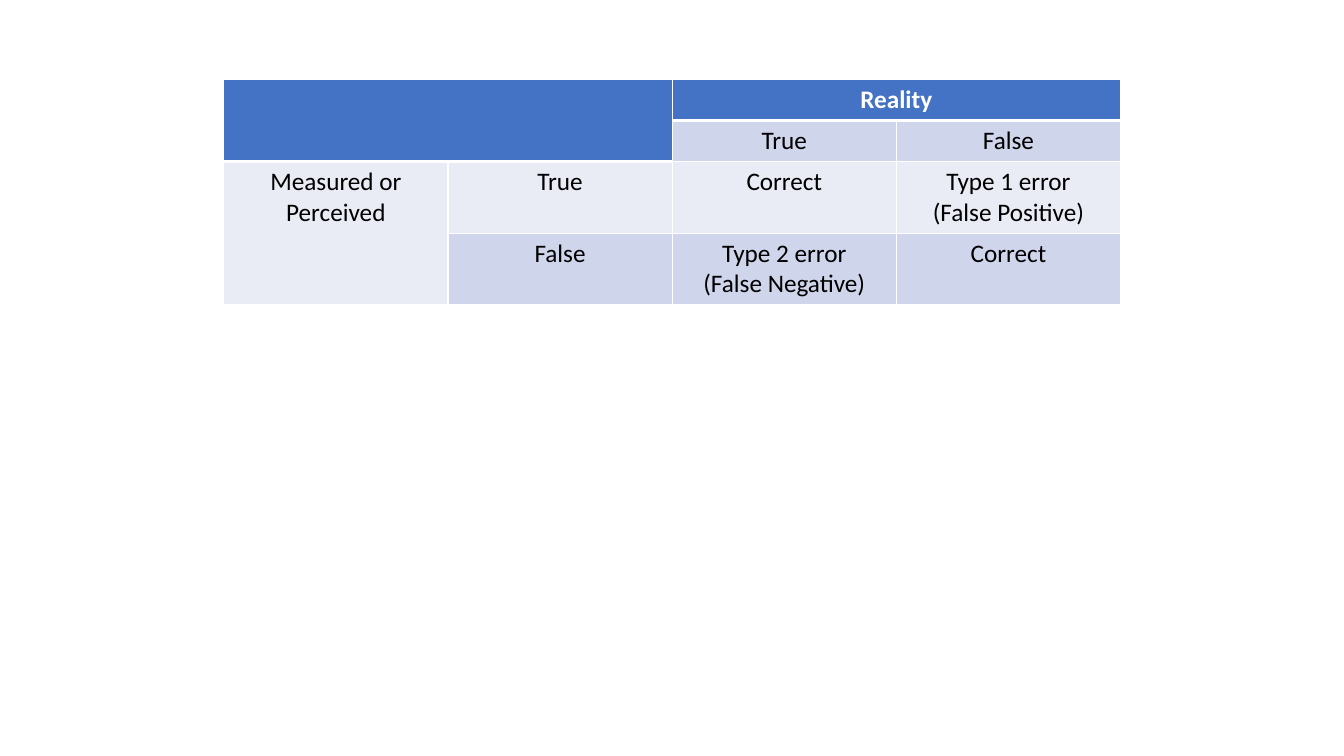
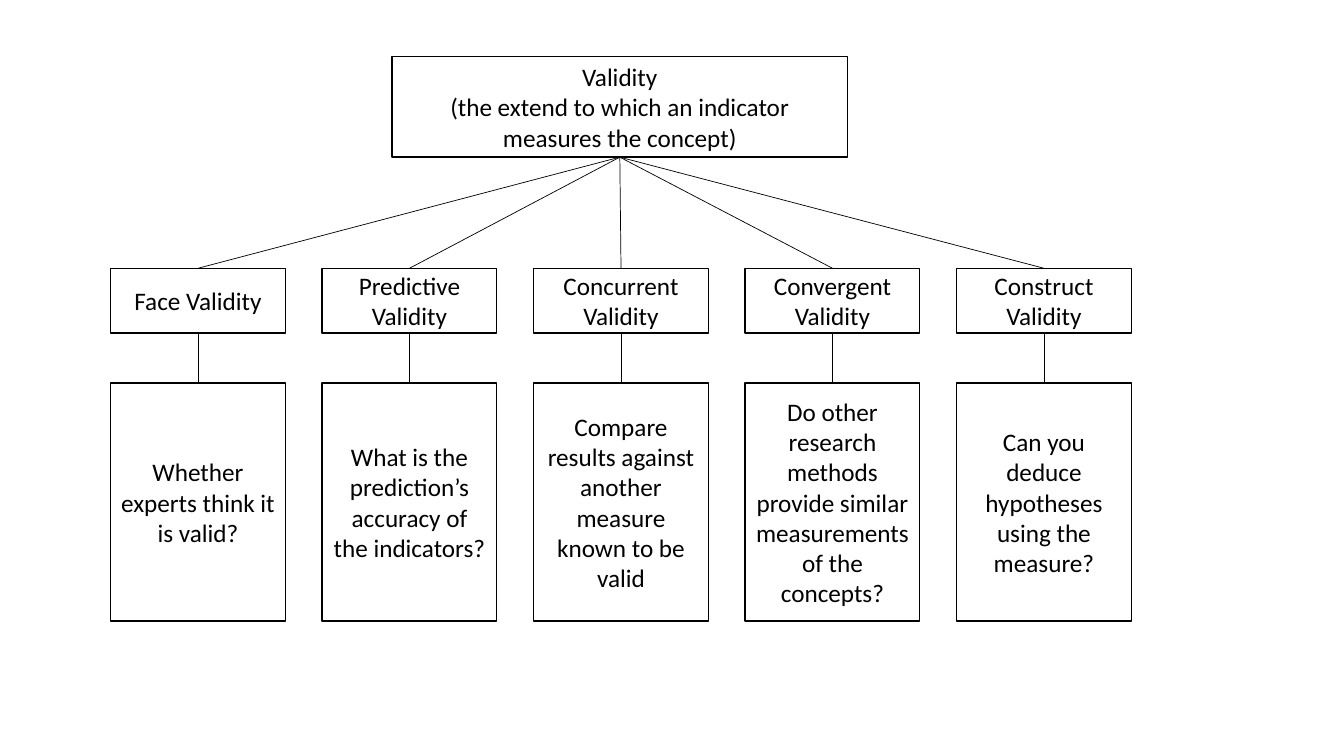
"""Build two slides: a table of error types and a tree of validity kinds."""
from dataclasses import dataclass
from typing import Any, NamedTuple

from lxml import etree
from pptx import Presentation
from pptx import util as u
from pptx.dml import color as dml
from pptx.enum import shapes, text
from pptx.oxml import ns


@dataclass(frozen=True)
class Theme:
    font: str = "Calibri"
    size: u.Pt = u.Pt(18)
    ink: str = "000000"
    paper: str = "FFFFFF"
    header: str = "4472C4"
    bands: tuple[str, str] = ("E9EBF5", "CFD5EA")
    outline: u.Pt = u.Pt(1)
    heavy_rule: u.Pt = u.Pt(3)
    connector: u.Pt = u.Pt(0.5)


class Box(NamedTuple):
    text: str
    left: float
    top: float
    width: float
    height: float


class Entry(NamedTuple):
    row: int
    column: int
    text: str


class Kind(NamedTuple):
    name: str
    question: str


THEME = Theme()
BLANK_LAYOUT = 6
BOTTOM, TOP = 2, 0

TABLE_LEFT, TABLE_TOP, COLUMN_WIDTH = 5.64, 2.01, 5.65
ROW_HEIGHTS = (1.03, 1.03, 1.8, 1.8)
HEADER_DEPTHS = (2, 2, 1, 1)
MERGES = (((0, 0), (1, 1)), ((0, 2), (0, 3)), ((2, 0), (3, 0)))
ENTRIES = (
    Entry(0, 2, "Reality"),
    Entry(1, 2, "True"),
    Entry(1, 3, "False"),
    Entry(2, 0, "Measured or Perceived"),
    Entry(2, 1, "True"),
    Entry(2, 2, "Correct"),
    Entry(2, 3, "Type 1 error\n(False Positive)"),
    Entry(3, 1, "False"),
    Entry(3, 2, "Type 2 error\n(False Negative)"),
    Entry(3, 3, "Correct"),
)

ROOT = Box("Validity\n(the extend to which an indicator measures the concept)", 9.88, 1.42, 11.48, 2.54)
KIND_LEFT, KIND_PITCH, KIND_WIDTH = 2.79, 5.33, 4.4
NAME_TOP, NAME_HEIGHT = 6.76, 1.63
QUESTION_TOP, QUESTION_HEIGHT = 9.65, 6
KINDS = (
    Kind("Face Validity", "Whether experts think it is valid?"),
    Kind("Predictive Validity", "What is the prediction’s accuracy of the indicators?"),
    Kind("Concurrent Validity", "Compare results against another measure known to be valid"),
    Kind("Convergent Validity", "Do other research methods provide similar measurements of the concepts?"),
    Kind("Construct Validity", "Can you deduce hypotheses using the measure?"),
)


def rgb(value: str) -> dml.RGBColor:
    return dml.RGBColor.from_string(value)


def write(frame: Any, content: str, color: str, bold: bool = False) -> None:
    frame.text = content
    font_format = {"name": THEME.font, "size": THEME.size, "bold": bold}
    for paragraph in frame.paragraphs:
        paragraph.alignment = text.PP_ALIGN.CENTER
        for run in paragraph.runs:
            for name, value in font_format.items():
                setattr(run.font, name, value)
            run.font.color.rgb = rgb(color)


def paint(target: Any, color: str) -> None:
    target.fill.solid()
    target.fill.fore_color.rgb = rgb(color)


def add_borders(cell: Any, widths: dict[str, int]) -> None:
    properties = cell._tc.get_or_add_tcPr()
    for side, width in widths.items():
        line = etree.SubElement(properties, ns.qn(f"a:ln{side}"), w=str(int(width)))
        fill = etree.SubElement(line, ns.qn("a:solidFill"))
        etree.SubElement(fill, ns.qn("a:srgbClr"), val=THEME.paper)


def style_cell(cell: Any, row: int, column: int) -> None:
    depth = HEADER_DEPTHS[column]
    add_borders(cell, {
        "L": THEME.outline,
        "R": THEME.outline,
        "T": THEME.heavy_rule if row == depth else THEME.outline,
        "B": THEME.heavy_rule if row + 1 == depth else THEME.outline,
    })
    paint(cell, THEME.header if row < depth else THEME.bands[row % 2])


def add_error_table(slide: Any) -> None:
    column_count = len(HEADER_DEPTHS)
    table = slide.shapes.add_table(
        len(ROW_HEIGHTS), column_count, u.Cm(TABLE_LEFT), u.Cm(TABLE_TOP),
        u.Cm(COLUMN_WIDTH * column_count), u.Cm(sum(ROW_HEIGHTS)),
    ).table
    table.first_row = table.horz_banding = False
    for column in table.columns:
        column.width = u.Cm(COLUMN_WIDTH)
    for row, height in enumerate(ROW_HEIGHTS):
        table.rows[row].height = u.Cm(height)
        for column in range(column_count):
            style_cell(table.cell(row, column), row, column)
    for first, last in MERGES:
        table.cell(*first).merge(table.cell(*last))
    for entry in ENTRIES:
        is_header = entry.row < HEADER_DEPTHS[entry.column]
        color = THEME.paper if is_header else THEME.ink
        write(table.cell(entry.row, entry.column).text_frame, entry.text, color, is_header)


def add_box(slide: Any, box: Box) -> Any:
    shape = slide.shapes.add_shape(
        shapes.MSO_SHAPE.RECTANGLE, u.Cm(box.left), u.Cm(box.top), u.Cm(box.width), u.Cm(box.height)
    )
    shape.shadow.inherit = False
    paint(shape, THEME.paper)
    shape.line.color.rgb = rgb(THEME.ink)
    shape.line.width = THEME.outline
    frame_format = {"word_wrap": True, "vertical_anchor": text.MSO_ANCHOR.MIDDLE}
    for name, value in frame_format.items():
        setattr(shape.text_frame, name, value)
    write(shape.text_frame, box.text, THEME.ink)
    return shape


def join(slide: Any, lower: Any, upper: Any) -> None:
    connector = slide.shapes.add_connector(shapes.MSO_CONNECTOR.STRAIGHT, 0, 0, 0, 0)
    connector.begin_connect(lower, TOP)
    connector.end_connect(upper, BOTTOM)
    connector.line.color.rgb = rgb(THEME.ink)
    connector.line.width = THEME.connector
    etree.SubElement(connector._element.spPr, ns.qn("a:effectLst"))


def add_validity_tree(slide: Any) -> None:
    root = add_box(slide, ROOT)
    for index, kind in enumerate(KINDS):
        left = KIND_LEFT + index * KIND_PITCH
        name = add_box(slide, Box(kind.name, left, NAME_TOP, KIND_WIDTH, NAME_HEIGHT))
        question = add_box(slide, Box(kind.question, left, QUESTION_TOP, KIND_WIDTH, QUESTION_HEIGHT))
        join(slide, name, root)
        join(slide, question, name)


def main() -> None:
    presentation = Presentation()
    presentation.slide_width = u.Cm(33.87)
    presentation.slide_height = u.Cm(19.05)
    for draw in (add_error_table, add_validity_tree):
        draw(presentation.slides.add_slide(presentation.slide_layouts[BLANK_LAYOUT]))
    presentation.save("out.pptx")


if __name__ == "__main__":
    main()
